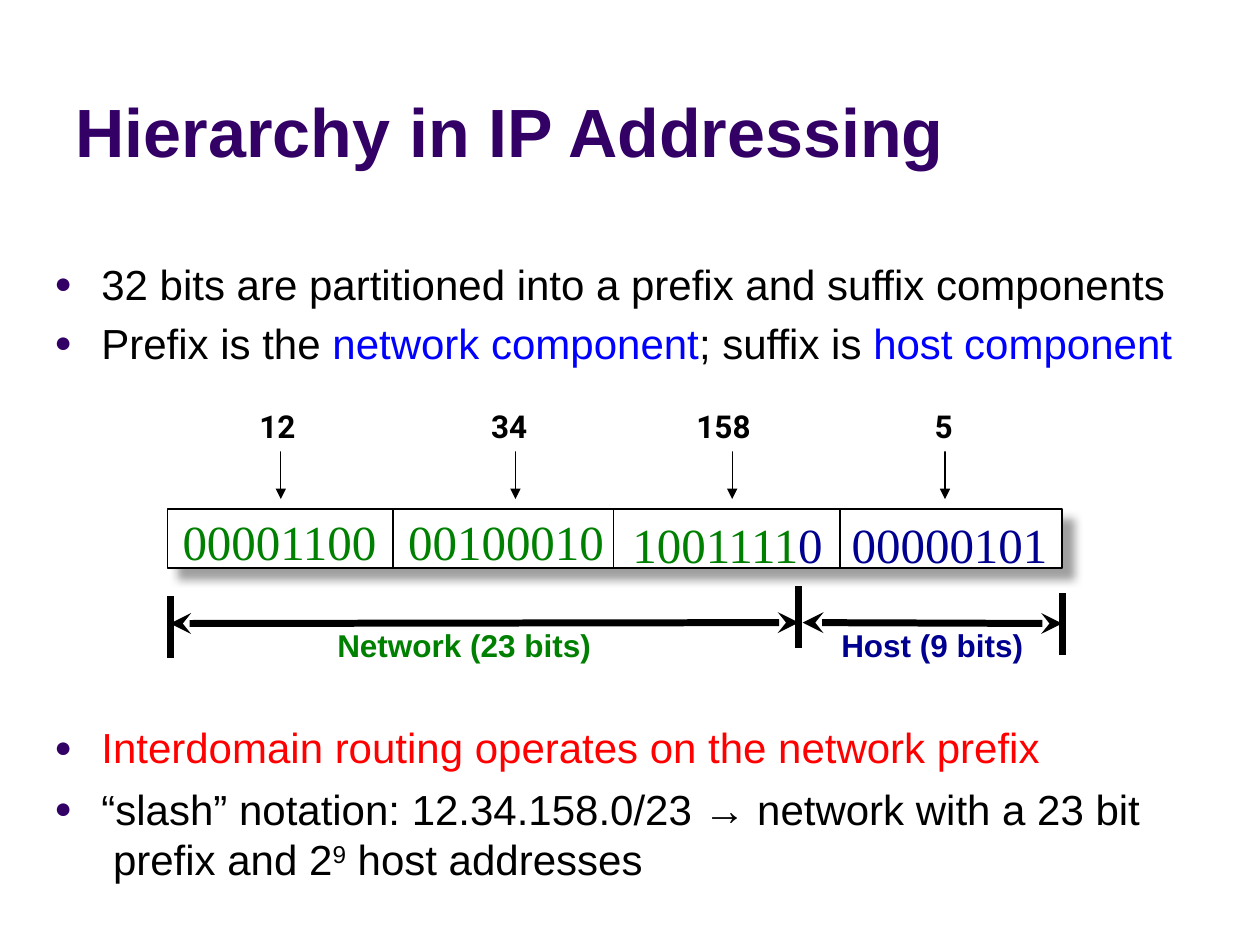
from dataclasses import dataclass

from lxml.etree import SubElement
from pptx import Presentation
from pptx.dml.color import RGBColor
from pptx.enum.shapes import MSO_CONNECTOR, MSO_SHAPE
from pptx.enum.text import MSO_ANCHOR, MSO_AUTO_SIZE, PP_ALIGN
from pptx.oxml.ns import qn
from pptx.util import Cm, Pt

PURPLE = RGBColor(0x33, 0x00, 0x66)
BLACK = RGBColor(0x00, 0x00, 0x00)
WHITE = RGBColor(0xFF, 0xFF, 0xFF)
BLUE = RGBColor(0x00, 0x00, 0xFF)
RED = RGBColor(0xFF, 0x00, 0x00)
GREEN = RGBColor(0x00, 0x80, 0x00)
NAVY = RGBColor(0x00, 0x00, 0x90)
GREY = RGBColor(0x80, 0x80, 0x80)


@dataclass(frozen=True)
class Span:
    text: str
    color: RGBColor = BLACK
    raised: bool = False


@dataclass(frozen=True)
class Bullet:
    spans: tuple[Span, ...]
    gap: float | None = None


@dataclass(frozen=True)
class Octet:
    decimal: str
    decimal_left: float
    decimal_width: float
    arrow_x: float
    bits: tuple[Span, ...]
    bits_left: float
    bits_top: float


@dataclass(frozen=True)
class Part:
    label: str
    color: RGBColor
    left: float
    width: float
    start: float
    end: float


BULLETS = (
    Bullet((Span("32 bits are partitioned into a prefix and suffix components"),)),
    Bullet((Span("Prefix is the "), Span("network component", BLUE),
            Span("; suffix is "), Span("host component", BLUE))),
    Bullet((Span("Interdomain routing operates on the network prefix", RED),), gap=202.5),
    Bullet((Span("“slash” notation: 12.34.158.0/23 → network with a 23 bit\v prefix and 2"),
            Span("9", raised=True), Span(" host addresses"))),
)
OCTETS = (
    Octet("12", 4.98, 1.32, 5.66, (Span("00001100", GREEN),), 3.43, 10.19),
    Octet("34", 9.65, 1.32, 10.39, (Span("00100010", GREEN),), 7.98, 10.19),
    Octet("158", 13.79, 1.73, 14.76, (Span("1001111", GREEN), Span("0", NAVY)), 12.5, 10.24),
    Octet("5", 18.59, 0.91, 19.05, (Span("00000101", NAVY),), 16.92, 10.24),
)
PARTS = (
    Part("Network (23 bits)", GREEN, 6.55, 5.69, 16.1, 3.43),
    Part("Host (9 bits)", NAVY, 16.71, 4.22, 16.18, 21.41),
)
DIVIDERS = (7.92, 12.37, 16.94)
LIMITS = ((3.43, 12.01), (16.1, 11.81), (21.41, 11.96))


def place(shape, left: float, top: float, width: float, height: float) -> None:
    shape.left, shape.top = Cm(left), Cm(top)
    shape.width, shape.height = Cm(width), Cm(height)


def write(para, spans: tuple[Span, ...], *, font: str, size: float, bold: bool = False) -> None:
    para.alignment = PP_ALIGN.LEFT
    for item in spans:
        span = para.add_run()
        for index, line in enumerate(item.text.split("\v")):
            if index:
                para.add_line_break()
                span = para.add_run()
            span.text = line
            span.font.name, span.font.size = font, Pt(size)
            span.font.bold = bold
            span.font.color.rgb = item.color
            if item.raised:
                span.font._element.set("baseline", "30000")


def add_bullet(para) -> None:
    properties = para._p.get_or_add_pPr()
    properties.set("marL", str(Cm(0.95)))
    properties.set("indent", str(-Cm(0.95)))
    color = SubElement(properties, qn("a:buClr"))
    SubElement(color, qn("a:srgbClr"), val=str(PURPLE))
    SubElement(properties, qn("a:buSzPct"), val="70000")
    SubElement(properties, qn("a:buFont"), typeface="Arial")
    SubElement(properties, qn("a:buChar"), char="●")


def add_text(page, left: float, top: float, width: float, height: float,
             spans: tuple[Span, ...], *, font: str, size: float, bold: bool = False,
             fill: RGBColor | None = None) -> None:
    box = page.shapes.add_textbox(Cm(left), Cm(top), Cm(width), Cm(height))
    if fill is not None:
        box.fill.solid()
        box.fill.fore_color.rgb = fill
    box.text_frame.word_wrap = True
    write(box.text_frame.paragraphs[0], spans, font=font, size=size, bold=bold)


def add_line(page, x1: float, y1: float, x2: float, y2: float, *, width: float,
             head: str | None = None, tail: str | None = None) -> None:
    line = page.shapes.add_connector(MSO_CONNECTOR.STRAIGHT, Cm(x1), Cm(y1), Cm(x2), Cm(y2))
    line.line.color.rgb = BLACK
    line.line.width = Pt(width)
    outline = line.line._get_or_add_ln()
    for tag, kind in (("a:headEnd", head), ("a:tailEnd", tail)):
        if kind:
            SubElement(outline, qn(tag), type=kind)
    SubElement(line._element.spPr, qn("a:effectLst"))


def add_address_bar(page) -> None:
    bar = page.shapes.add_shape(MSO_SHAPE.RECTANGLE, Cm(3.38), Cm(10.26), Cm(18.03), Cm(1.19))
    bar.fill.solid()
    bar.fill.fore_color.rgb = WHITE
    bar.line.color.rgb = BLACK
    bar.line.width = Pt(1)
    bar.shadow.inherit = False
    effects = bar._element.spPr.find(qn("a:effectLst"))
    shadow = SubElement(effects, qn("a:outerShdw"), blurRad=str(Pt(5)), dist=str(Pt(8.5)),
                        dir="2700000", algn="ctr", rotWithShape="0")
    color = SubElement(shadow, qn("a:srgbClr"), val=str(GREY))
    SubElement(color, qn("a:alpha"), val="75000")
    for x in DIVIDERS:
        add_line(page, x, 10.26, x, 11.45, width=1)


def fill_placeholders(page) -> None:
    title, body = page.shapes.title, page.placeholders[1]
    place(title, 1.27, 0.33, 22.86, 3.25)
    place(body, 0.84, 5.08, 26.04, 9.09)
    for holder, anchor in ((title, MSO_ANCHOR.BOTTOM), (body, MSO_ANCHOR.TOP)):
        holder.text_frame.auto_size = MSO_AUTO_SIZE.NONE
        holder.text_frame.vertical_anchor = anchor
    write(title.text_frame.paragraphs[0], (Span("Hierarchy in IP Addressing", PURPLE),),
          font="Arial", size=39, bold=True)
    for index, bullet in enumerate(BULLETS):
        para = body.text_frame.add_paragraph() if index else body.text_frame.paragraphs[0]
        write(para, bullet.spans, font="Arial", size=24)
        add_bullet(para)
        if bullet.gap is not None:
            para.space_before = Pt(bullet.gap)


def add_diagram(page) -> None:
    add_address_bar(page)
    for octet in OCTETS:
        add_text(page, octet.bits_left, octet.bits_top, 4.6, 1.45, octet.bits,
                 font="Times New Roman", size=28)
        add_line(page, octet.arrow_x, 8.31, octet.arrow_x, 10.06, width=0.75, tail="triangle")
        add_text(page, octet.decimal_left, 8.08, octet.decimal_width, 1.02,
                 (Span(octet.decimal),), font="Roboto", size=18, bold=True, fill=WHITE)
    for x, top in LIMITS:
        add_line(page, x, top, x, top + 1.25, width=4)
    for part in PARTS:
        add_line(page, part.start, 12.55, part.end, 12.57, width=4,
                 head="stealth", tail="stealth")
        add_text(page, part.left, 12.5, part.width, 1.12, (Span(part.label, part.color),),
                 font="Arial", size=18, bold=True)


def main() -> None:
    deck = Presentation()
    deck.slide_width, deck.slide_height = Cm(25.4), Cm(19.05)
    page = deck.slides.add_slide(deck.slide_layouts[1])
    fill_placeholders(page)
    add_diagram(page)
    deck.save("out.pptx")


main()
